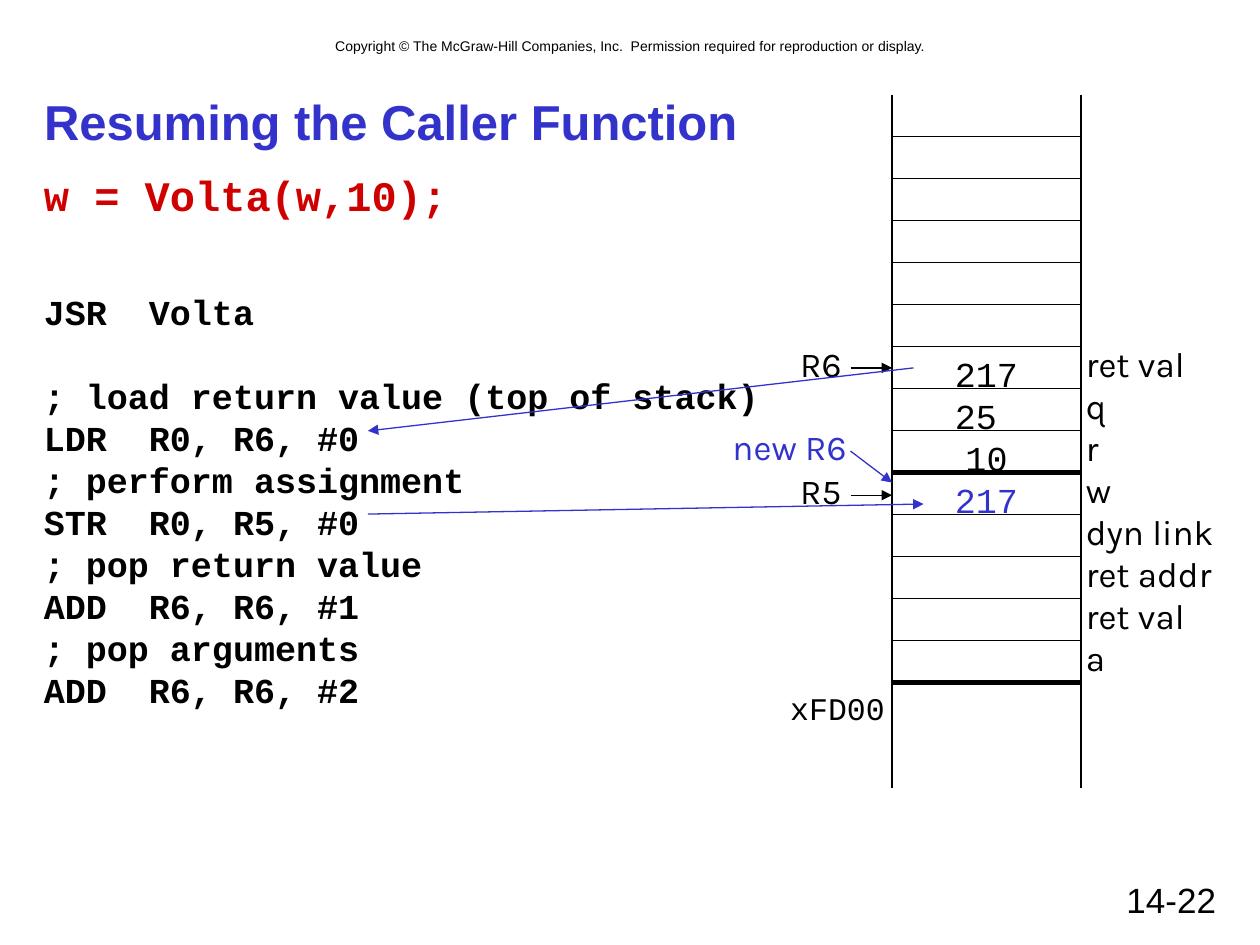
from lxml import etree
from pptx import Presentation
from pptx import util as u
from pptx.dml.color import RGBColor
from pptx.enum import shapes, text
from pptx.oxml.ns import qn

BLACK, BLUE, RED = "000000", "3333CC", "CE0000"
SANS, MONO, LABEL = "Arial", "Courier New", "Karla"
LEFT, CENTER, RIGHT = text.PP_ALIGN.LEFT, text.PP_ALIGN.CENTER, text.PP_ALIGN.RIGHT

STACK_LEFT, STACK_RIGHT = 7.08, 8.58
STACK_TOP, STACK_BOTTOM = 0.75, 6.25
ROW = 1 / 3
ROW_COUNT = 14
FRAME_ROWS = (9, 14)

VARIABLES = ["ret val", "q", "r", "w", "dyn link", "ret addr", "ret val", "a"]
VALUES = ["217", "25 ", "10", "217"]
CODE = [
    "; load return value (top of stack)",
    "LDR  R0, R6, #0",
    "; perform assignment",
    "STR  R0, R5, #0",
    "; pop return value",
    "ADD  R6, R6, #1",
    "; pop arguments",
    "ADD  R6, R6, #2",
]


def color(hex_string):
    return RGBColor.from_string(hex_string)


def format_paragraph(paragraph, font, size, hex_color=BLACK, bold=False, align=LEFT):
    paragraph.alignment = align
    paragraph.font.name = font
    paragraph.font.size = u.Pt(size)
    paragraph.font.bold = bold
    paragraph.font.color.rgb = color(hex_color)


def add_text(slide, box, lines, font, size, hex_color=BLACK, bold=False,
             align=LEFT, wrap=True, spacing=None):
    """Add a text box with one paragraph per line and return its paragraphs."""
    frame = slide.shapes.add_textbox(*map(u.Inches, box)).text_frame
    frame.word_wrap = wrap
    for index, line in enumerate(lines):
        paragraph = frame.add_paragraph() if index else frame.paragraphs[0]
        paragraph.text = line
        format_paragraph(paragraph, font, size, hex_color, bold, align)
        if spacing:
            paragraph.line_spacing = u.Pt(spacing)
    return frame.paragraphs


def add_line(slide, start, end, hex_color=BLACK, width=0.75, arrow=False):
    """Draw a line; an arrow has its head at the end point."""
    line = slide.shapes.add_connector(
        shapes.MSO_CONNECTOR.STRAIGHT, *map(u.Inches, (*start, *end)))
    line.line.color.rgb = color(hex_color)
    line.line.width = u.Pt(width)
    properties = line._element.spPr
    if arrow:
        etree.SubElement(properties.find(qn("a:ln")), qn("a:tailEnd"), type="triangle")
    etree.SubElement(properties, qn("a:effectLst"))


def add_title(slide):
    title = slide.shapes.title
    title.left, title.top = u.Inches(0.25), u.Inches(0.67)
    title.width, title.height = u.Inches(9.5), u.Inches(0.58)
    title.text_frame.text = "Resuming the Caller Function"
    title.text_frame.vertical_anchor = text.MSO_ANCHOR.MIDDLE
    format_paragraph(title.text_frame.paragraphs[0], SANS, 28, BLUE, bold=True)


def add_code(slide):
    call, jump, body = add_text(
        slide, (0.25, 1.3, 9.5, 5.37),
        ["w = Volta(w,10);", "JSR  Volta", "\v".join(CODE)],
        MONO, 20, bold=True, spacing=24)
    format_paragraph(call, MONO, 24, RED, bold=True)
    call.line_spacing = 1.0
    jump.space_before = u.Pt(40)
    body.space_before = u.Pt(24)


def add_stack(slide):
    for x in (STACK_LEFT, STACK_RIGHT):
        add_line(slide, (x, STACK_TOP), (x, STACK_BOTTOM))
    for row in range(1, ROW_COUNT + 1):
        y = STACK_TOP + row * ROW
        add_line(slide, (STACK_LEFT, y), (STACK_RIGHT, y),
                 width=3 if row in FRAME_ROWS else 0.75)
    add_text(slide, (8.52, 2.67, 1.26, 2.77), VARIABLES, LABEL, 20, wrap=False)
    values = add_text(slide, (STACK_LEFT, 2.75, 1.5, 1.43), VALUES, MONO, 20,
                      align=CENTER, spacing=24)
    values[-1].font.color.rgb = color(BLUE)
    add_text(slide, (6.17, 5.42, 0.95, 0.4), ["xFD00"], MONO, 18,
             align=RIGHT, wrap=False)


def add_pointers(slide):
    for name, top, y in (("R6", 2.67, 2.92), ("R5", 3.68, 3.93)):
        add_text(slide, (6.25, top, 0.53, 0.44), [name], LABEL, 20,
                 align=CENTER, wrap=False)
        add_line(slide, (6.75, y), (STACK_LEFT, y), arrow=True)
    add_text(slide, (5.67, 3.33, 1.15, 0.44), ["new R6"], LABEL, 20, BLUE,
             align=RIGHT, wrap=False)
    for start, end in (((6.75, 3.58), (STACK_LEFT, 3.83)),
                       ((7.25, 2.92), (2.92, 3.42)),
                       ((2.92, 4.08), (7.33, 4))):
        add_line(slide, start, end, BLUE, arrow=True)


def main():
    presentation = Presentation()
    presentation.slide_width, presentation.slide_height = u.Inches(10), u.Inches(7.5)
    slide = presentation.slides.add_slide(presentation.slide_layouts[5])
    add_text(slide, (0.67, 0.25, 8.67, 0.24),
             ["Copyright © The McGraw-Hill Companies, Inc.  "
              "Permission required for reproduction or display."],
             SANS, 8, align=CENTER)
    add_text(slide, (7.17, 6.92, 2.58, 0.42), ["14-22"], SANS, 20, align=RIGHT)
    add_title(slide)
    add_code(slide)
    add_stack(slide)
    add_pointers(slide)
    presentation.save("out.pptx")


if __name__ == "__main__":
    main()
